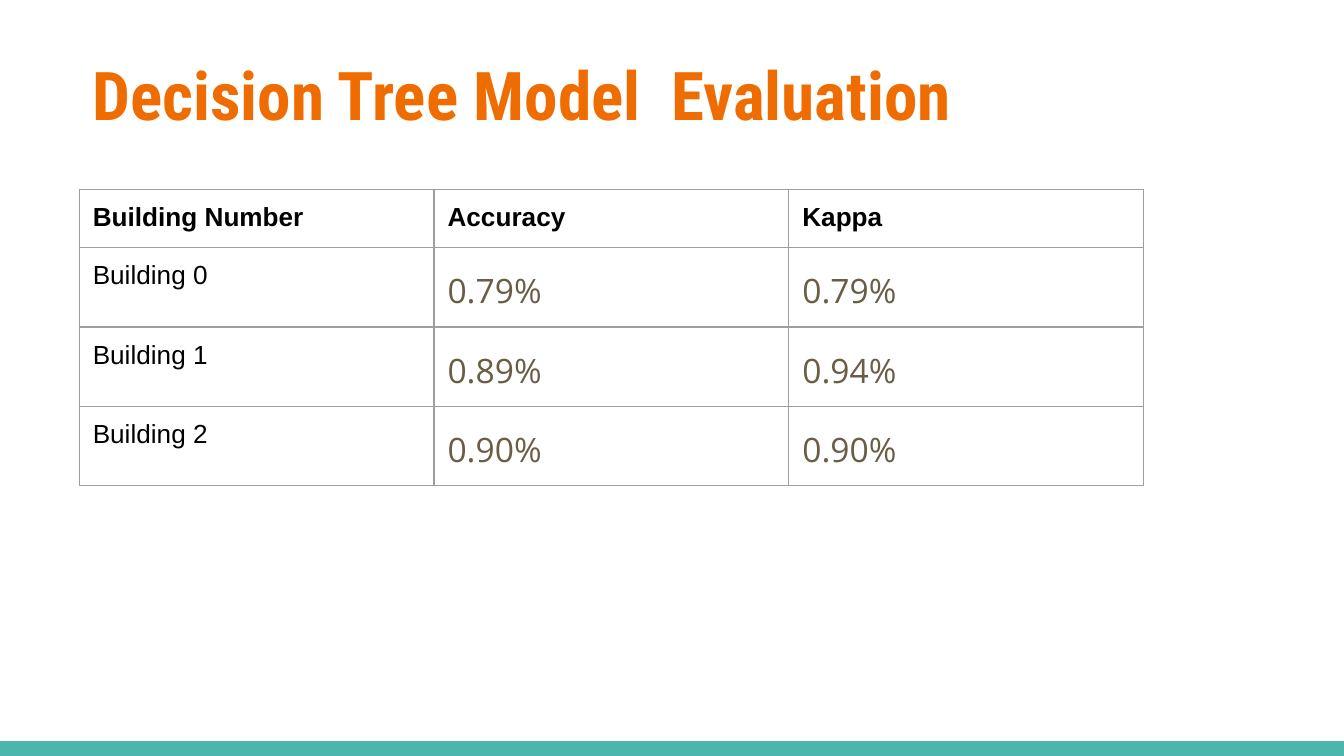
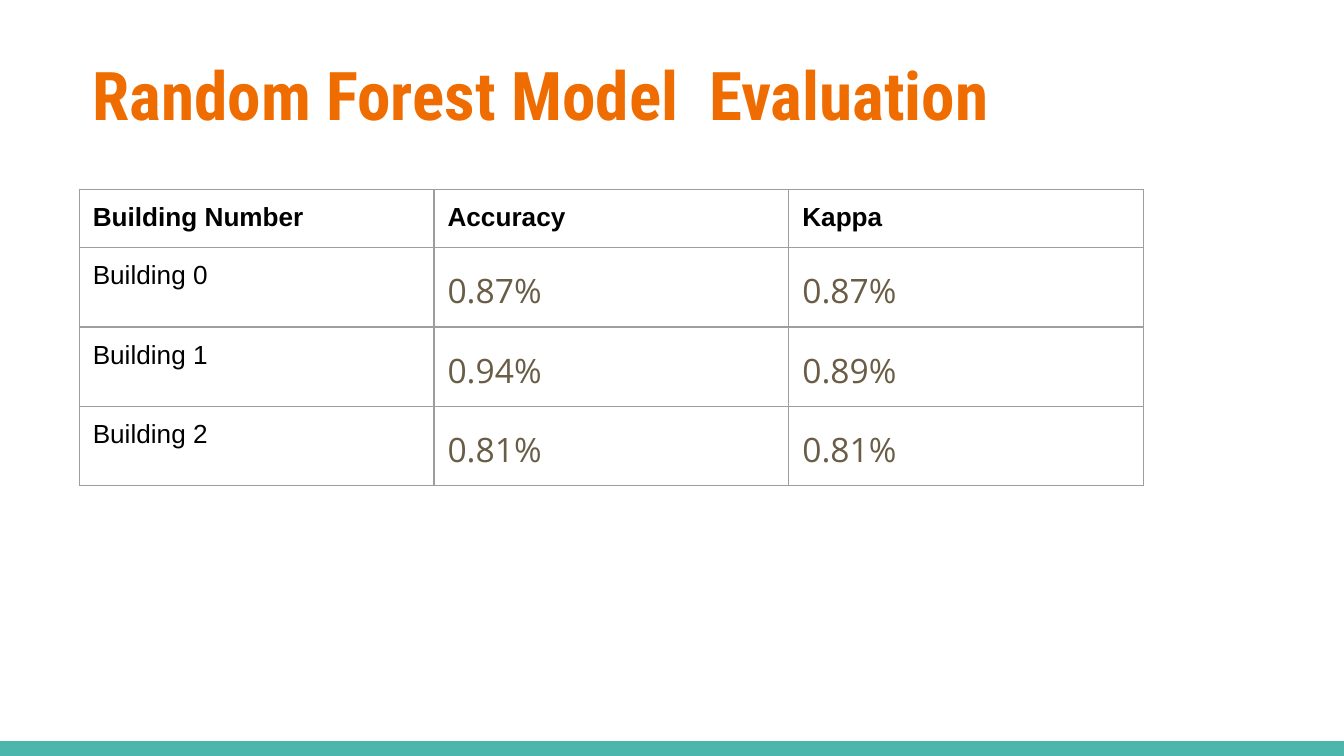
"""Build two slides comparing model evaluation results per building."""
from lxml import etree
from pptx import Presentation
from pptx.dml.color import RGBColor
from pptx.enum.shapes import MSO_SHAPE
from pptx.enum.text import MSO_ANCHOR
from pptx.oxml.ns import qn
from pptx.util import Inches, Pt

RECT = MSO_SHAPE.RECTANGLE
TOP = MSO_ANCHOR.TOP
ORANGE = RGBColor(0xEF, 0x6C, 0x00)
TEAL = RGBColor(0x4D, 0xB6, 0xAC)
BROWN = RGBColor(0x69, 0x5D, 0x46)
BLACK = RGBColor(0x00, 0x00, 0x00)
GREY = RGBColor(0x9E, 0x9E, 0x9E)

TITLE = {"name": "Roboto Condensed", "size": Pt(36), "bold": True, "color": ORANGE}
HEADER = {"name": "Arial", "size": Pt(14), "bold": True, "color": BLACK}
LABEL = {**HEADER, "bold": False}
VALUE = {"name": "Open Sans", "size": Pt(18), "bold": False, "color": BROWN}

LEFT = 0.59
COL_W = 2.64
ROW_H = [0.42, 0.59, 0.59, 0.59]
HEADINGS = ["Building Number", "Accuracy", "Kappa"]
SLIDES = [
    ("Decision Tree Model  Evaluation", (9.32, 0.77),
     [("0.79%", "0.79%"), ("0.89%", "0.94%"), ("0.90%", "0.90%")]),
    ("Random Forest Model  Evaluation", (8.5, 0.95),
     [("0.87%", "0.87%"), ("0.94%", "0.89%"), ("0.81%", "0.81%")]),
]


def write(tf, text, style):
    tf.word_wrap = True
    p = tf.paragraphs[0]
    r = p.add_run()
    r.text = text
    for key, value in style.items():
        if key == "color":
            r.font.color.rgb = value
        else:
            setattr(r.font, key, value)
    return p


def add_borders(cell):
    tcPr = cell._tc.get_or_add_tcPr()
    for i, side in enumerate(("lnL", "lnR", "lnT", "lnB")):
        ln = etree.Element(qn(f"a:{side}"), w=str(Pt(0.75)))
        fill = etree.SubElement(ln, qn("a:solidFill"))
        etree.SubElement(fill, qn("a:srgbClr"), val=str(GREY))
        tcPr.insert(i, ln)


prs = Presentation()
prs.slide_width = Inches(10)
prs.slide_height = prs.slide_width * 9 // 16

for title, (width, height), scores in SLIDES:
    s = prs.slides.add_slide(prs.slide_layouts[6])

    band_h = Inches(0.11)
    band = s.shapes.add_shape(RECT, 0, prs.slide_height - band_h, prs.slide_width, band_h)
    band.shadow.inherit = False
    band.fill.solid()
    band.fill.fore_color.rgb = TEAL
    band.line.fill.background()

    sp = s.shapes.add_textbox(Inches(LEFT), Inches(0.3), Inches(width), Inches(height))
    tf = sp.text_frame
    tf.vertical_anchor = TOP
    for side in ("left", "right", "top", "bottom"):
        setattr(tf, f"margin_{side}", Inches(0.1))
    write(tf, title, TITLE)

    rows = [HEADINGS] + [[f"Building {i}", *pair] for i, pair in enumerate(scores)]
    table = s.shapes.add_table(len(rows), len(HEADINGS), Inches(LEFT), Inches(1.41),
                               Inches(COL_W * len(HEADINGS)), Inches(sum(ROW_H))).table
    table.first_row = table.horz_banding = False
    for col in table.columns:
        col.width = Inches(COL_W)
    for i, row in enumerate(rows):
        table.rows[i].height = Inches(ROW_H[i])
        for j, text in enumerate(row):
            cell = table.cell(i, j)
            cell.fill.background()
            add_borders(cell)
            for side in ("left", "right", "top", "bottom"):
                setattr(cell, f"margin_{side}", Inches(0.1))
            style = HEADER if i == 0 else LABEL if j == 0 else VALUE
            p = write(cell.text_frame, text, style)
            if style is VALUE:
                p.line_spacing = 1.15
                p.space_after = Pt(16)

prs.save("out.pptx")
